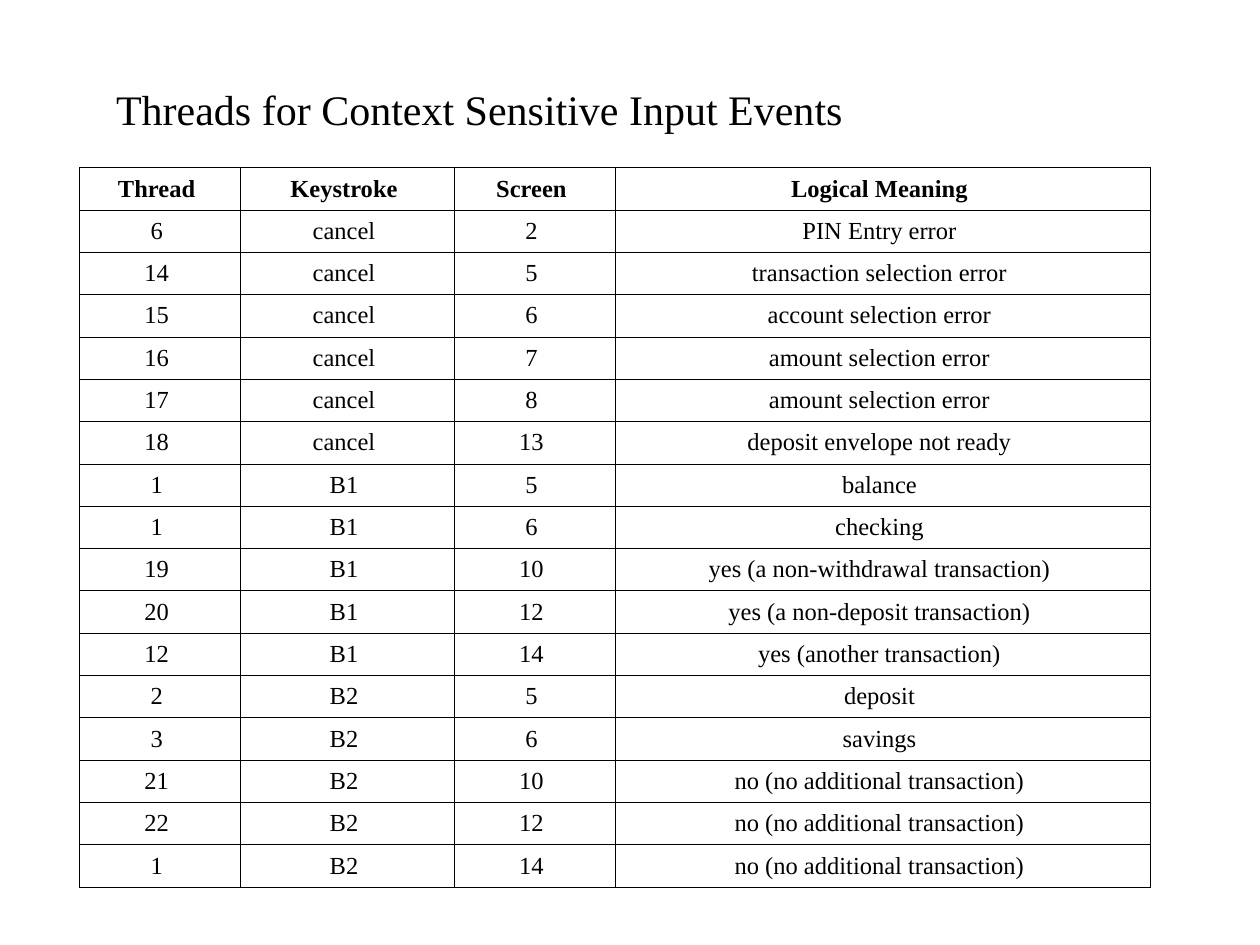
from dataclasses import dataclass

from lxml.etree import SubElement
from pptx import Presentation
from pptx.dml.color import RGBColor
from pptx.enum.text import MSO_ANCHOR as ANCHOR, MSO_AUTO_SIZE as AUTO_SIZE, PP_ALIGN as ALIGN
from pptx.oxml.ns import qn
from pptx.util import Inches, Pt


@dataclass(frozen=True)
class Theme:
    font: str = "Times New Roman"
    ink: str = "000000"
    title_size: int = 24
    body_size: int = 14
    border: float = 0.34


THEME = Theme()
TITLE = "Threads for Context Sensitive Input Events"
HEADER = ("Thread", "Keystroke", "Screen", "Logical Meaning")
THREADS = [
    ("6", "cancel", "2", "PIN Entry error"),
    ("14", "cancel", "5", "transaction selection error"),
    ("15", "cancel", "6", "account selection error"),
    ("16", "cancel", "7", "amount selection error"),
    ("17", "cancel", "8", "amount selection error"),
    ("18", "cancel", "13", "deposit envelope not ready"),
    ("1", "B1", "5", "balance"),
    ("1", "B1", "6", "checking"),
    ("19", "B1", "10", "yes (a non-withdrawal transaction)"),
    ("20", "B1", "12", "yes (a non-deposit transaction)"),
    ("12", "B1", "14", "yes (another transaction)"),
    ("2", "B2", "5", "deposit"),
    ("3", "B2", "6", "savings"),
    ("21", "B2", "10", "no (no additional transaction)"),
    ("22", "B2", "12", "no (no additional transaction)"),
    ("1", "B2", "14", "no (no additional transaction)"),
]
COLUMN_SHARES = (3, 4, 3, 10)


def add_run(p, text, size, bold=False):
    p.alignment = ALIGN.CENTER
    r = p.add_run()
    r.text = f"{text} "
    r.font.name = THEME.font
    r.font.size = Pt(size)
    r.font.bold = bold
    r.font.color.rgb = RGBColor.from_string(THEME.ink)


def set_title(slide):
    title = slide.shapes.title
    title.left, title.top = Inches(0.78), Inches(0.61)
    title.width, title.height = Inches(6.05), Inches(0.5)
    tf = title.text_frame
    tf.word_wrap = False
    tf.auto_size = AUTO_SIZE.SHAPE_TO_FIT_TEXT
    tf.vertical_anchor = ANCHOR.MIDDLE
    add_run(tf.paragraphs[0], TITLE, THEME.title_size)


def add_borders(cell):
    tc_pr = cell._tc.get_or_add_tcPr()
    for i, side in enumerate(("lnL", "lnR", "lnT", "lnB")):
        ln = SubElement(tc_pr, qn(f"a:{side}"), w=str(Pt(THEME.border)))
        fill = SubElement(ln, qn("a:solidFill"))
        SubElement(fill, qn("a:srgbClr"), val=THEME.ink)
        tc_pr.insert(i, ln)


def fill_cell(cell, text, bold):
    cell.fill.background()
    add_borders(cell)
    cell.vertical_anchor = ANCHOR.MIDDLE
    p = cell.text_frame.paragraphs[0]
    add_run(p, text, THEME.body_size, bold)
    p_pr = p._p.get_or_add_pPr()
    p_pr.set("marL", str(Inches(0.38)))
    p_pr.set("indent", str(Inches(-0.38)))


def add_thread_table(slide):
    rows = [HEADER, *THREADS]
    width, height = Inches(8.5), Inches(5.71)
    table = slide.shapes.add_table(
        len(rows), len(HEADER), Inches(0.63), Inches(1.33), width, height
    ).table
    table.first_row = table.horz_banding = False
    for column, share in zip(table.columns, COLUMN_SHARES):
        column.width = width * share // sum(COLUMN_SHARES)
    for i, row in enumerate(rows):
        table.rows[i].height = height // len(rows)
        for j, text in enumerate(row):
            fill_cell(table.cell(i, j), text, bold=i == 0)


def main():
    prs = Presentation()
    prs.slide_width, prs.slide_height = Inches(10), Inches(7.5)
    slide = prs.slides.add_slide(prs.slide_layouts[5])
    set_title(slide)
    add_thread_table(slide)
    prs.save("out.pptx")


if __name__ == "__main__":
    main()
